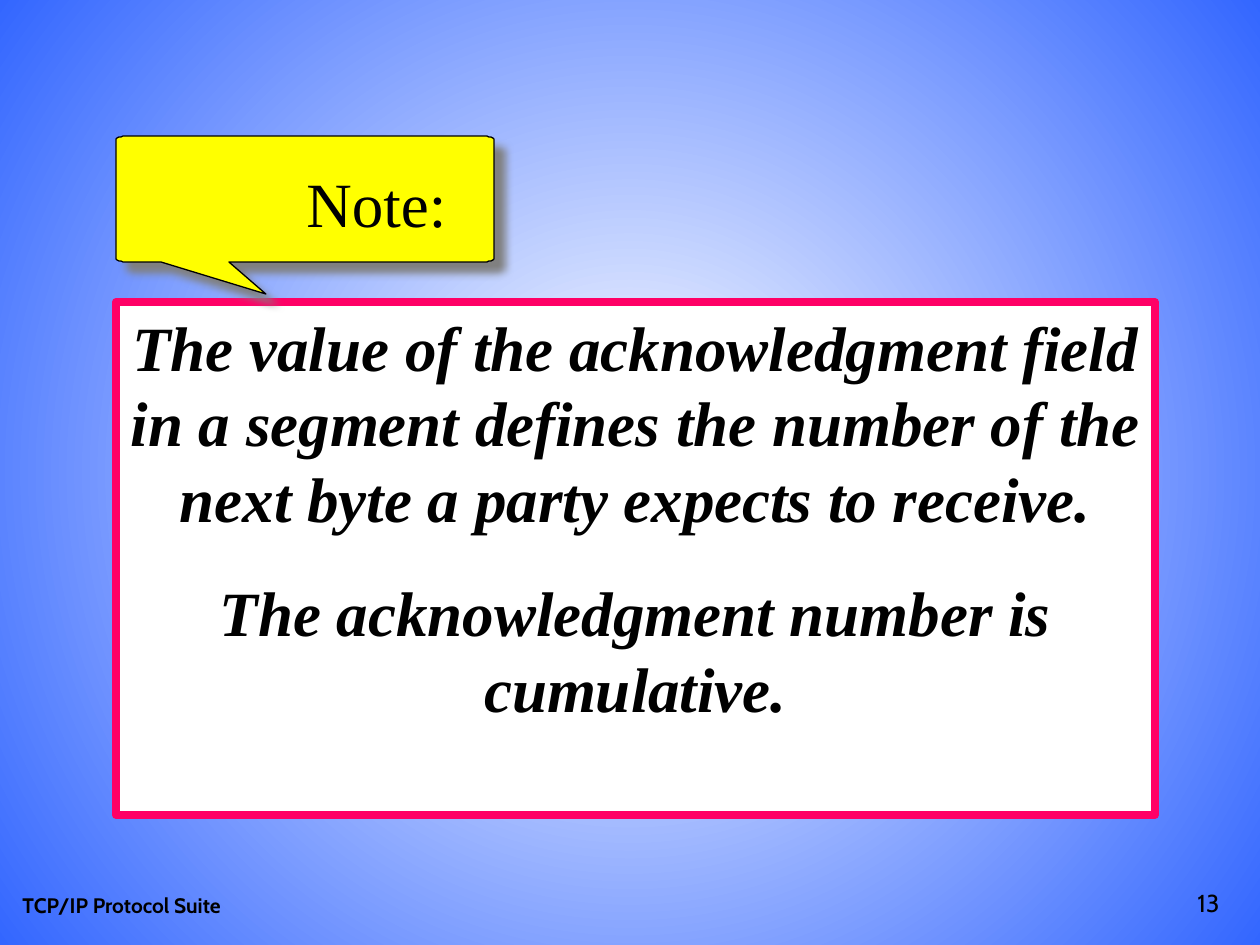
from math import cos, pi, sin

from lxml import etree
from pptx import Presentation
from pptx.dml.color import RGBColor
from pptx.enum.shapes import MSO_SHAPE
from pptx.enum.text import MSO_ANCHOR as Anchor, PP_ALIGN as Align
from pptx.oxml.ns import qn
from pptx.util import Pt

PX = 914400 // 126
WIDTH, HEIGHT = 1260, 945

BLACK = RGBColor(0x00, 0x00, 0x00)
WHITE = RGBColor(0xFF, 0xFF, 0xFF)
BLUE = RGBColor(0x33, 0x66, 0xFF)
PINK = RGBColor(0xFF, 0x00, 0x66)
YELLOW = RGBColor(0xFF, 0xFF, 0x00)
GRAY = RGBColor(0x80, 0x80, 0x80)

SERIF, SANS = "Times New Roman", "Cabin"
STATEMENTS = (
    "The value of the acknowledgment field in a segment defines "
    "the number of the next byte a party expects to receive.",
    "The acknowledgment number is cumulative.",
)


def px(*values):
    return [value * PX for value in values]


def set_background(slide):
    """Radial gradient, white in the centre and blue at the corners."""
    fill = slide.background.fill
    fill.gradient()
    for stop, color in zip(fill.gradient_stops, (WHITE, BLUE)):
        stop.color.rgb = color
    linear = slide.element.find(".//" + qn("a:lin"))
    radial = etree.Element(qn("a:path"), {"path": "circle"})
    etree.SubElement(radial, qn("a:fillToRect"), {side: "50000" for side in "ltrb"})
    linear.getparent().replace(linear, radial)


def style_shape(shape, fill, line, width):
    shape.shadow.inherit = False
    shape.fill.solid()
    shape.fill.fore_color.rgb = fill
    shape.line.color.rgb = line
    shape.line.width = Pt(width)


def write_text(shape, texts, font, size, align=Align.LEFT, anchor=Anchor.TOP,
               bold=False, italic=False, gap=0, wrap=True):
    frame = shape.text_frame
    frame.word_wrap = wrap
    frame.vertical_anchor = anchor
    for index, text in enumerate(texts):
        paragraph = frame.add_paragraph() if index else frame.paragraphs[0]
        paragraph.alignment = align
        if index:
            paragraph.space_before = Pt(gap)
        run = paragraph.add_run()
        run.text = text
        run.font.name, run.font.size = font, Pt(size)
        run.font.bold, run.font.italic = bold, italic
        run.font.color.rgb = BLACK


def add_label(slide, box, text, font, size, **options):
    write_text(slide.shapes.add_textbox(*px(*box)), [text], font, size, **options)


def add_statement_box(slide, box):
    shape = slide.shapes.add_shape(MSO_SHAPE.RECTANGLE, *px(*box))
    style_shape(shape, WHITE, PINK, 4.5)
    write_text(shape, STATEMENTS, SERIF, 36, Align.CENTER,
               bold=True, italic=True, gap=22)


def add_drop_shadow(shape, color, blur, distance, angle):
    effects = shape._element.spPr.find(qn("a:effectLst"))
    shadow = etree.SubElement(effects, qn("a:outerShdw"), {
        "blurRad": str(Pt(blur)), "dist": str(Pt(distance)),
        "dir": str(angle * 60000), "algn": "ctr", "rotWithShape": "0"})
    etree.SubElement(shadow, qn("a:srgbClr"), {"val": str(color)})


def add_callout(slide, left, top, width, height, tail):
    """Rounded box with a pointed tail in its lower edge."""
    radius_x, radius_y, steps = 10, 4, 6
    right, bottom = left + width, top + height

    def corner(center_x, center_y, start):
        angles = [start + step * pi / 2 / steps for step in range(steps + 1)]
        return [(center_x + radius_x * cos(angle), center_y + radius_y * sin(angle))
                for angle in angles]

    points = [
        *corner(right - radius_x, bottom - radius_y, 0),
        *tail,
        *corner(left + radius_x, bottom - radius_y, pi / 2),
        *corner(left + radius_x, top + radius_y, pi),
        *corner(right - radius_x, top + radius_y, 3 * pi / 2),
    ]
    builder = slide.shapes.build_freeform(*points[0], scale=PX)
    builder.add_line_segments(points[1:], close=True)
    shape = builder.convert_to_shape()
    style_shape(shape, YELLOW, BLACK, 0.75)
    add_drop_shadow(shape, GRAY, blur=5, distance=8.5, angle=45)


def main():
    presentation = Presentation()
    presentation.slide_width, presentation.slide_height = px(WIDTH, HEIGHT)
    slide = presentation.slides.add_slide(presentation.slide_layouts[6])
    set_background(slide)

    # Footer and page number
    add_label(slide, (10, 861, 400, 63), "TCP/IP Protocol Suite", SANS, 12,
              anchor=Anchor.BOTTOM, bold=True)
    add_label(slide, (970, 861, 262, 63), "13", SANS, 14,
              align=Align.RIGHT, anchor=Anchor.BOTTOM)

    # Statement with its note callout
    add_statement_box(slide, (116, 302, 1039, 513))
    add_callout(slide, 116, 136, 378, 126, [(229, 262), (266, 294), (161, 262)])
    add_label(slide, (294, 158, 165, 88), "Note:", SERIF, 36, wrap=False)

    presentation.save("out.pptx")


if __name__ == "__main__":
    main()
